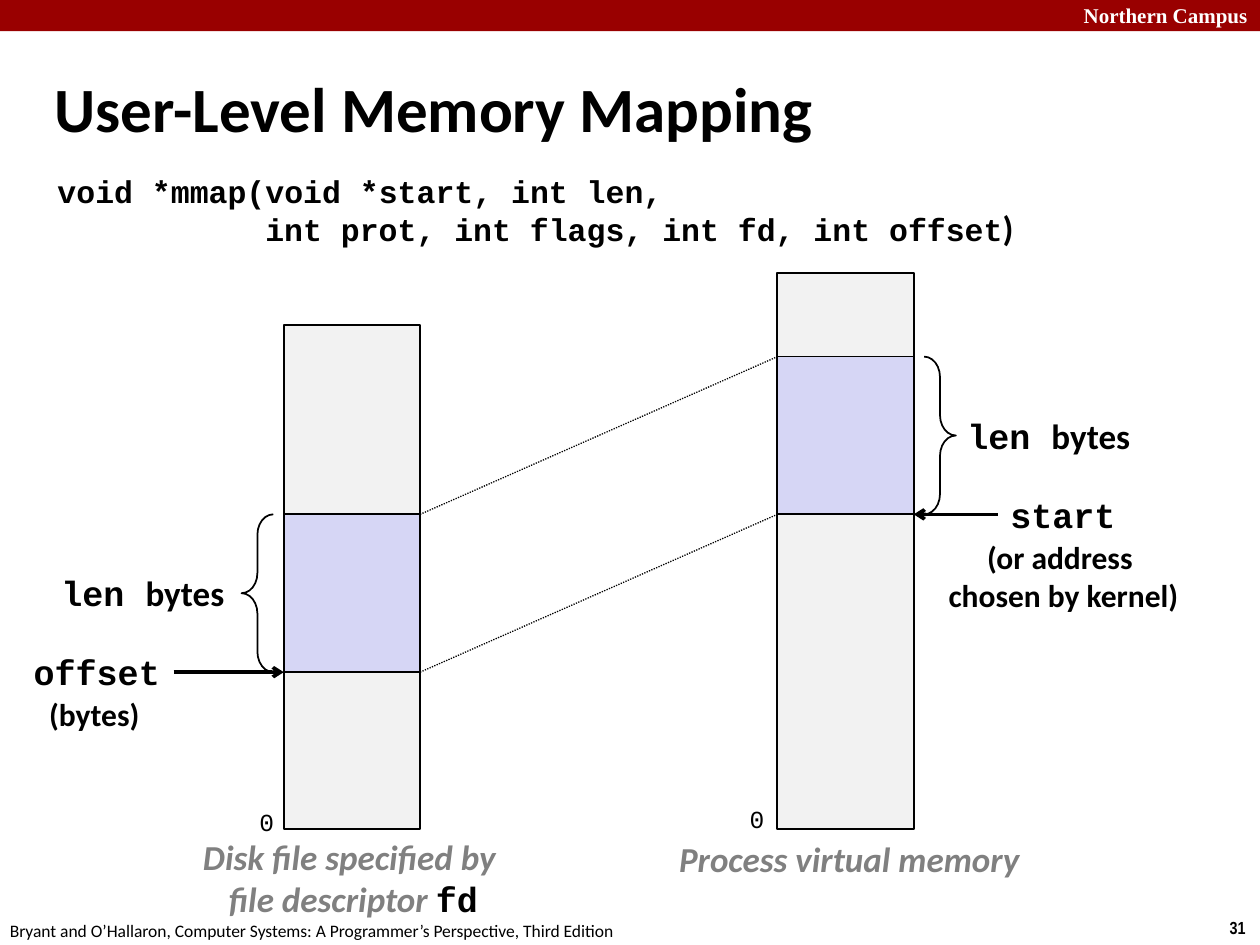
from lxml.etree import SubElement
from pptx import Presentation
from pptx.dml.color import RGBColor
from pptx.enum.dml import MSO_LINE
from pptx.enum.shapes import MSO_CONNECTOR, MSO_SHAPE
from pptx.enum.text import MSO_ANCHOR, PP_ALIGN
from pptx.oxml.ns import qn
from pptx.util import Cm, Pt


def color(code):
    return RGBColor.from_string(code)


def write(box, lines, wrap=False, align=PP_ALIGN.LEFT):
    frame = box.text_frame
    frame.word_wrap = wrap
    for i, line in enumerate(lines):
        para = frame.paragraphs[0] if i == 0 else frame.add_paragraph()
        para.alignment = align
        for text, form in line:
            run = para.add_run()
            run.text = text
            for key, val in form.items():
                if key == "color":
                    run.font.color.rgb = color(val)
                else:
                    setattr(run.font, key, val)
    return frame


deck = Presentation()
deck.slide_width, deck.slide_height = Cm(25.4), Cm(19.05)
slide = deck.slides.add_slide(deck.slide_layouts[5])
shapes = slide.shapes

base = {"name": "Calibri", "size": Pt(20), "bold": True, "color": "000000"}
note = {**base, "size": Pt(18)}
mono = {**base, "name": "Courier New"}
code = {**mono, "size": Pt(18)}
zero = {**mono, "size": Pt(14), "bold": False}
gray = {**base, "italic": True, "color": "808080"}
foot = {**base, "size": Pt(10), "bold": False}
page = {**foot, "name": "Arial Narrow", "bold": True}
head = {**base, "name": "Times New Roman", "size": Pt(12), "color": "FFFFFF"}

band = shapes.add_shape(MSO_SHAPE.RECTANGLE, 0, 0, Cm(25.4), Cm(0.63))
band.shadow.inherit = False
band.fill.solid()
band.fill.fore_color.rgb = color("990000")
band.line.fill.background()

box = shapes.add_textbox(Cm(20.4), Cm(-0.08), Cm(5), Cm(0.76))
write(box, [[("Northern Campus", head)]], True, PP_ALIGN.RIGHT)

title = shapes.title
place = {"left": 0.84, "top": 1.37, "width": 20.17, "height": 1.6}
for key, val in place.items():
    setattr(title, key, Cm(val))
frame = write(title, [[("User-Level Memory Mapping", {**base, "size": Pt(36)})]], True)
frame.vertical_anchor = MSO_ANCHOR.MIDDLE

box = shapes.add_textbox(Cm(0.91), Cm(3.4), Cm(23.09), Cm(2.31))
frame = write(box, [
    [("void *mmap(void *start, int len,", code)],
    [("int prot, int flags, int fd, int offset", code), (")", base)],
], True)
for para in frame.paragraphs:
    para.line_spacing = 0.94
frame.paragraphs[1]._p.get_or_add_pPr().set("marL", str(Cm(4.19)))

wide, span = 2.75, 3.18
disk, proc = 5.72, 15.67
high, mid, low = 7.19, 10.37, 13.55
for left, top, tall, fill in [
    (disk, 6.56, 10.16, "F2F2F2"),
    (disk, mid, span, "D6D6F5"),
    (proc, 5.5, 11.22, "F2F2F2"),
    (proc, high, span, "D6D6F5"),
]:
    block = shapes.add_shape(MSO_SHAPE.RECTANGLE, Cm(left), Cm(top), Cm(wide), Cm(tall))
    block.shadow.inherit = False
    block.fill.solid()
    block.fill.fore_color.rgb = color(fill)
    block.line.color.rgb = color("000000")
    block.line.width = Pt(1)

for kind, left, top in [
    (MSO_SHAPE.RIGHT_BRACE, 18.63, high),
    (MSO_SHAPE.LEFT_BRACE, 4.87, mid),
]:
    brace = shapes.add_shape(kind, Cm(left), Cm(top), Cm(0.64), Cm(span))
    brace.shadow.inherit = False
    brace.adjustments[0] = 0.64
    brace.fill.background()
    brace.line.color.rgb = color("000000")
    brace.line.width = Pt(1)

edge = disk + wide
for x1, y1, x2, y2, arrow in [
    (edge, mid, proc, high, False),
    (edge, low, proc, mid, False),
    (20.11, mid, proc + wide, mid, True),
    (3.5, low, disk, low, True),
]:
    link = shapes.add_connector(MSO_CONNECTOR.STRAIGHT, Cm(x1), Cm(y1), Cm(x2), Cm(y2))
    link.line.color.rgb = color("000000")
    link.line.width = Pt(2 if arrow else 0.75)
    if arrow:
        SubElement(link.line._get_or_add_ln(), qn("a:tailEnd"), type="arrow")
    else:
        link.line.dash_style = MSO_LINE.ROUND_DOT
    SubElement(link.element.spPr, qn("a:effectLst"))

size = [("len ", mono), ("bytes", base)]
book = "Bryant and O’Hallaron, Computer Systems: A Programmer’s Perspective, Third Edition"
for left, top, width, height, lines in [
    (24.54, 18.36, 0.86, 0.69, [[("31", page)]]),
    (-0.05, 18.42, 12.9, 0.69, [[(book, foot)]]),
    (19.25, 8.23, 3.84, 1.12, [size]),
    (0.99, 11.4, 3.84, 1.12, [size]),
    (20.12, 9.83, 2.64, 1.12, [[("start", mono)]]),
    (0.43, 12.98, 3.07, 1.12, [[("offset", mono)]]),
    (0.74, 13.89, 2.34, 1.02, [[("(bytes)", note)]]),
    (18.85, 10.72, 5.18, 1.8, [[("(or address ", note)], [("chosen by kernel)", note)]]),
    (13.44, 16.76, 7.42, 1.12, [[("Process virtual memory", gray)]]),
    (3.81, 16.71, 6.63, 1.96, [
        [("Disk file specified by ", gray)],
        [("file descriptor ", gray), ("fd", mono)],
    ]),
    (4.98, 16.15, 0.81, 0.86, [[("0", zero)]]),
    (14.86, 16.08, 0.81, 0.86, [[("0", zero)]]),
]:
    box = shapes.add_textbox(Cm(left), Cm(top), Cm(width), Cm(height))
    write(box, lines, align=PP_ALIGN.CENTER if len(lines) > 1 else PP_ALIGN.LEFT)

deck.save("out.pptx")
